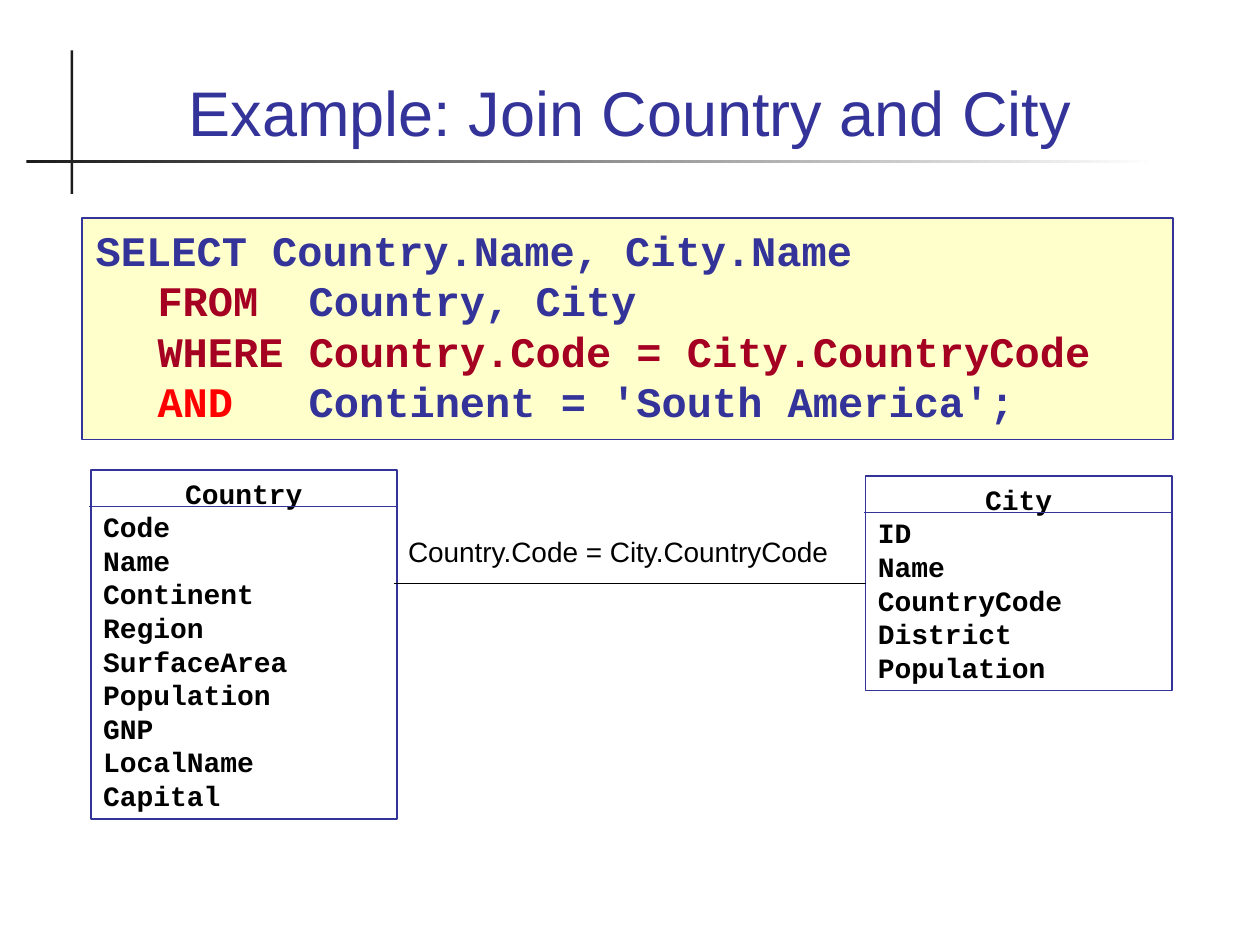
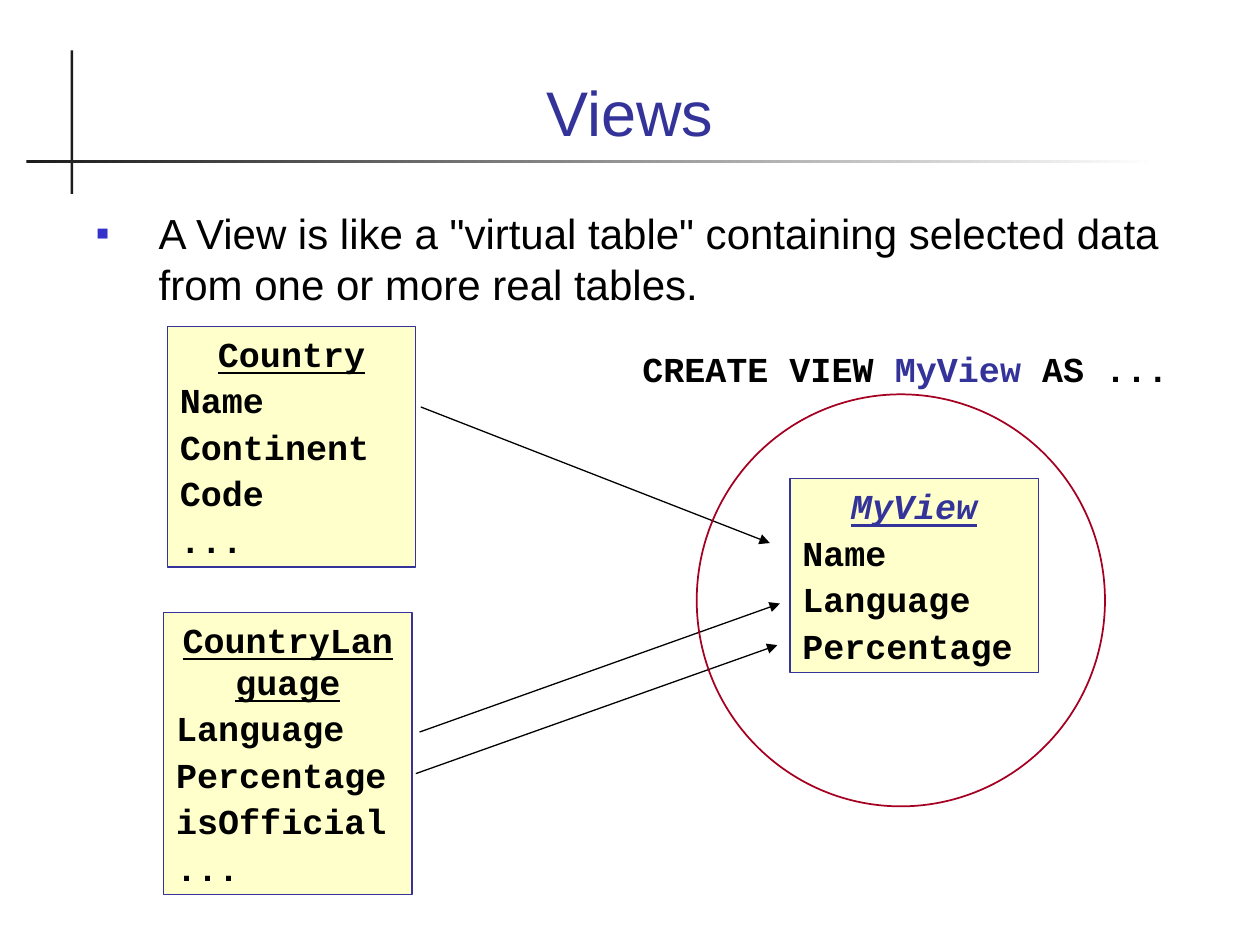
from dataclasses import dataclass
from lxml.etree import SubElement as Sub
from pptx import Presentation
from pptx.dml.color import RGBColor as RGB
from pptx.enum.shapes import MSO_CONNECTOR as Link, MSO_SHAPE as Shape
from pptx.enum.text import MSO_ANCHOR as Anchor, MSO_AUTO_SIZE as Fit, PP_ALIGN as Align
from pptx.oxml.ns import qn
from pptx.util import Inches, Pt


@dataclass(frozen=True)
class Theme:
    navy: str = "333399"
    blue: str = "3333CC"
    wine: str = "A50021"
    red: str = "FF0000"
    cream: str = "FFFFCC"
    ink: str = "000000"
    dark: str = "1C1C1C"
    white: str = "FFFFFF"
    sans: str = "Arial"
    mono: str = "Courier New"
    head: int = 36
    body: int = 24
    view: int = 20
    small: int = 16


T = Theme()


def color(code):
    return RGB.from_string(code)


def inches(box):
    return [Inches(n) for n in box]


def place(shape, box):
    shape.left, shape.top, shape.width, shape.height = inches(box)


def paint(shape, fill=None, line=None, width=0.75):
    if fill:
        shape.fill.solid()
        shape.fill.fore_color.rgb = color(fill)
    else:
        shape.fill.background()
    if line:
        shape.line.color.rgb = color(line)
        shape.line.width = Pt(width)
    else:
        shape.line.fill.background()


def draw(slide, kind, box, **look):
    shape = slide.shapes.add_shape(kind, *inches(box))
    shape.shadow.inherit = False
    paint(shape, **look)
    return shape


def frame(shape, anchor=Anchor.TOP, wrap=True):
    text = shape.text_frame
    text.word_wrap = wrap
    text.auto_size = Fit.NONE
    text.vertical_anchor = anchor
    text.margin_left = text.margin_right = Inches(0.1)
    text.margin_top = text.margin_bottom = Inches(0.05)
    return text


def write(para, words, size, face=T.mono, tint=T.ink, bold=False, italic=False, under=False):
    run = para.add_run()
    run.text = words
    font = run.font
    font.name, font.size = face, Pt(size)
    font.bold, font.italic, font.underline = bold, italic, under
    font.color.rgb = color(tint)


def indent(para, first, bullet=None):
    """Hang the paragraph at half an inch, with or without a bullet."""
    props = para._p.get_or_add_pPr()
    props.set("marL", str(Inches(0.5)))
    props.set("indent", str(Inches(first)))
    if bullet:
        tint = Sub(props, qn("a:buClr"))
        Sub(tint, qn("a:srgbClr"), val=T.blue)
        Sub(props, qn("a:buSzPct"), val="95000")
        Sub(props, qn("a:buFont"), typeface=T.sans)
        Sub(props, qn("a:buChar"), char=bullet)
    else:
        Sub(props, qn("a:buNone"))


def connect(slide, start, end, tint=T.ink, arrow=False):
    link = slide.shapes.add_connector(Link.STRAIGHT, *inches(start + end))
    link.line.color.rgb = color(tint)
    link.line.width = Pt(0.75)
    if arrow:
        Sub(link.line._get_or_add_ln(), qn("a:tailEnd"), type="triangle")
    Sub(link._element.spPr, qn("a:effectLst"))
    return link


def start(deck, title):
    """Add a slide with the crossed rules and its title."""
    slide = deck.slides.add_slide(deck.slide_layouts[1])
    draw(slide, Shape.RECTANGLE, (0.56, 0.4, 0.02, 1.14), fill=T.dark)
    fade = draw(slide, Shape.RECTANGLE, (0.21, 1.27, 8.99, 0.02)).fill
    fade.gradient()
    fade.gradient_angle = 0
    for stop, tint in zip(fade.gradient_stops, (T.dark, T.white)):
        stop.color.rgb = color(tint)
    head = slide.shapes.title
    place(head, (0.67, 0.28, 8.66, 0.95))
    para = frame(head, Anchor.BOTTOM).paragraphs[0]
    para.alignment = Align.CENTER
    write(para, title, T.head, T.sans, T.navy)
    return slide


def entity(slide, box, name, fields, size, gap=0, tint=T.ink, fill=None, width=0.75, **style):
    """Draw a table box: centred name, then one field a line."""
    shape = draw(slide, Shape.RECTANGLE, box, fill=fill, line=T.navy, width=width)
    text = frame(shape)
    para = text.paragraphs[0]
    para.alignment = Align.CENTER
    write(para, name, size, tint=tint, bold=True, **style)
    for field in fields:
        para = text.add_paragraph()
        para.alignment = Align.LEFT
        para.space_before = Pt(gap)
        write(para, field, size, bold=True)
    return shape


def ruled(slide, box, name, fields):
    """Draw a table box with a rule under its name."""
    shape = entity(slide, box, name, fields, T.small, width=1)
    left, top, width, _ = box
    connect(slide, (left - 0.01, top + 0.29), (left + width, top + 0.29), T.navy)
    return shape


def label(slide, box, runs, wrap=True):
    para = frame(slide.shapes.add_textbox(*inches(box)), wrap=wrap).paragraphs[0]
    for words, style in runs:
        write(para, words, **style)


def query(slide, box):
    body = slide.placeholders[1]
    place(body, box)
    paint(body, T.cream, T.navy)
    para = frame(body).paragraphs[0]
    indent(para, -0.49)
    para.space_before = Pt(0)
    lines = (
        [("SELECT Country.Name, City.Name", T.navy)],
        [("FROM", T.wine), ("  Country, City", T.navy)],
        [("WHERE Country.Code = City.CountryCode", T.wine)],
        [("AND", T.red), ("   Continent = 'South America';", T.navy)],
    )
    for row, line in enumerate(lines):
        if row:
            para.add_line_break()
        for words, tint in line:
            write(para, words, T.body, tint=tint, bold=True)


def join_slide(deck):
    slide = start(deck, "Example: Join Country and City")
    query(slide, (0.65, 1.73, 8.66, 1.76))
    ruled(slide, (0.72, 3.73, 2.43, 2.77), "Country",
          ("Code", "Name", "Continent", "Region", "SurfaceArea",
           "Population", "GNP", "LocalName", "Capital"))
    city = ruled(slide, (6.87, 3.78, 2.43, 1.7), "City",
                 ("ID", "Name", "CountryCode", "District", "Population"))
    connect(slide, (3.13, 4.63), (6.87, 4.63)).end_connect(city, 1)
    label(slide, (3.14, 4.19, 3.57, 0.37),
          [("Country.Code = City.CountryCode", dict(size=T.small, face=T.sans))], wrap=False)


def view_slide(deck):
    slide = start(deck, "Views")
    body = slide.placeholders[1]
    place(body, (0.66, 1.6, 8.66, 1.04))
    para = frame(body).paragraphs[0]
    indent(para, -0.5, "▪")
    para.space_before = Pt(0)
    write(para, 'A View is like a "virtual table" containing selected data '
          "from one or more real tables.", T.body, T.sans)

    look = dict(size=T.view, gap=2.5, fill=T.cream, under=True)
    entity(slide, (1.33, 2.59, 1.97, 1.91), "Country",
           ("Name", "Continent", "Code", "..."), **look)
    entity(slide, (1.3, 4.86, 1.97, 2.24), "CountryLanguage",
           ("Language", "Percentage", "isOfficial", "..."), **look)
    entity(slide, (6.27, 3.8, 1.97, 1.54), "MyView",
           ("Name", "Language", "Percentage"), tint=T.navy, italic=True, **look)
    for tail, tip in (((3.34, 3.23), (6.11, 4.31)),
                      ((3.33, 5.81), (6.19, 4.79)),
                      ((3.3, 6.14), (6.17, 5.12))):
        connect(slide, tail, tip, arrow=True)
    draw(slide, Shape.OVAL, (5.53, 3.13, 3.24, 3.27), line=T.wine, width=1)
    bold = dict(size=T.view, bold=True)
    label(slide, (5, 2.71, 4.46, 0.44),
          [("CREATE VIEW ", bold), ("MyView", dict(bold, tint=T.navy)), (" AS ...", bold)])


def main():
    deck = Presentation()
    deck.slide_width, deck.slide_height = Inches(10), Inches(7.5)
    join_slide(deck)
    view_slide(deck)
    deck.save("out.pptx")


if __name__ == "__main__":
    main()
